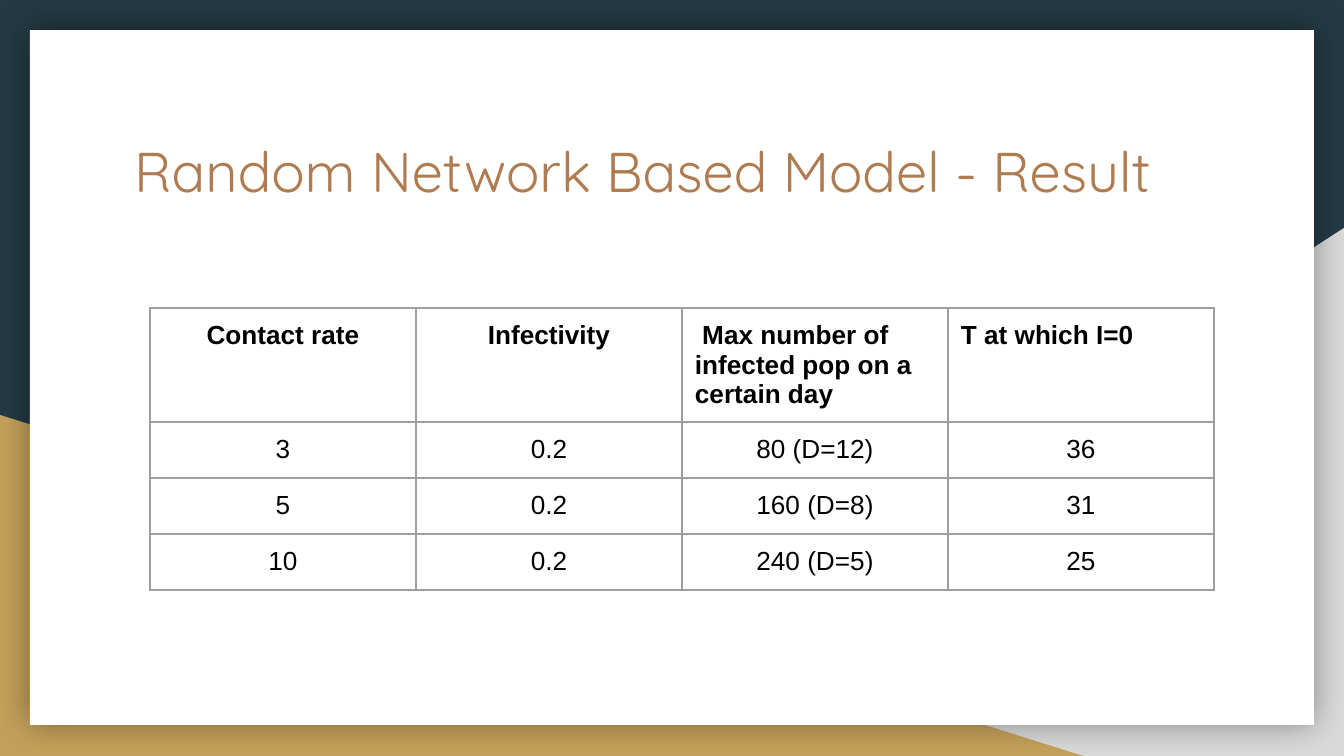
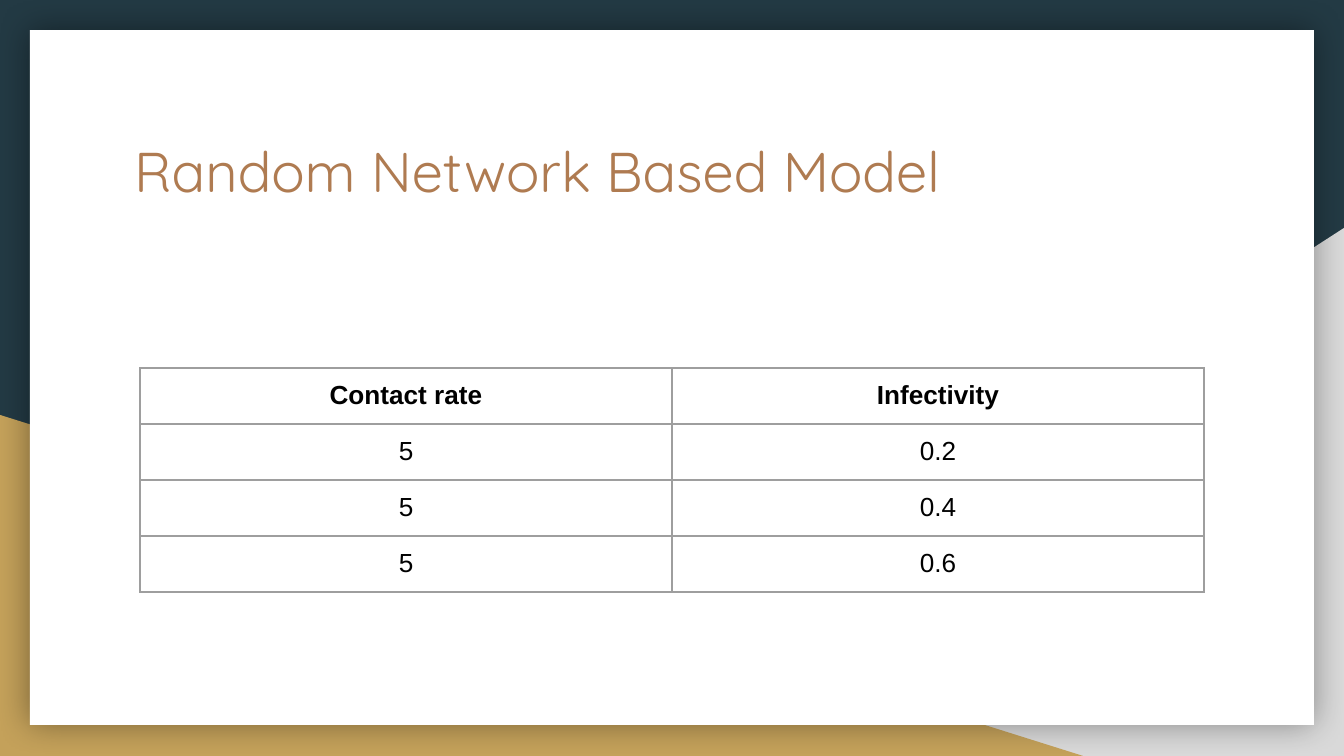
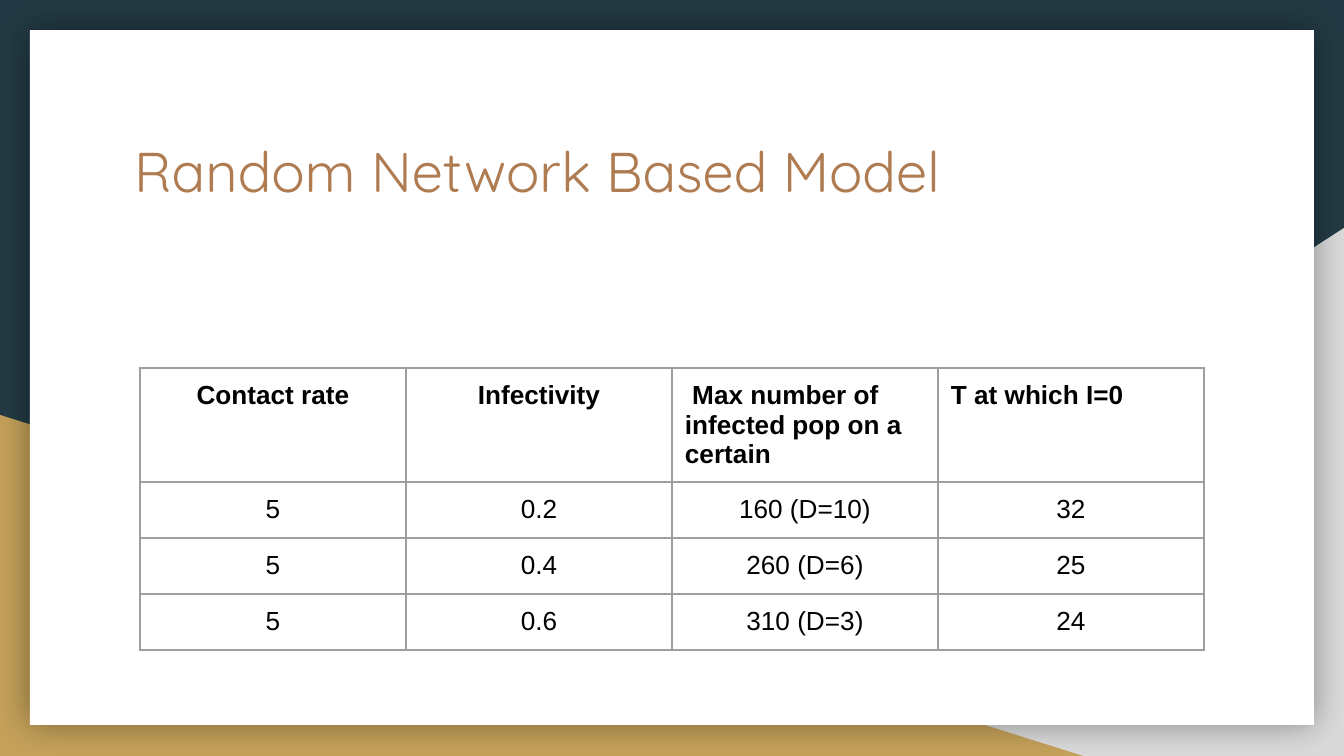
from dataclasses import dataclass

from lxml import etree
from pptx import Presentation
from pptx.dml.color import RGBColor
from pptx.enum.shapes import MSO_SHAPE
from pptx.enum.text import MSO_ANCHOR, MSO_AUTO_SIZE, PP_ALIGN
from pptx.oxml import parse_xml
from pptx.oxml.ns import nsdecls, qn
from pptx.util import Pt

WEDGE = MSO_SHAPE.RIGHT_TRIANGLE
RECT = MSO_SHAPE.RECTANGLE
TOP = MSO_ANCHOR.TOP
NO_FIT = MSO_AUTO_SIZE.NONE
LEFT = PP_ALIGN.LEFT
CENTER = PP_ALIGN.CENTER
SCALE = 914400 / 134.4
TITLE_ONLY = 5


@dataclass(frozen=True)
class Theme:
    back: str = "233A44"
    gray: str = "D9D9D9"
    gold: str = "C4A15A"
    card: str = "FFFFFF"
    head: str = "AF7B51"
    ink: str = "000000"
    rule: str = "9E9E9E"
    head_font: str = "Quicksand"
    font: str = "Arial"
    head_size: int = 30
    size: int = 14
    line: float = 0.75


THEME = Theme()
WIDE, HIGH = 1344, 756
PAD = 13
SPAN = 1064
ROW = 56


def px(num):
    return round(num * SCALE)


def rgb(code):
    return RGBColor.from_string(code)


def style(para, font, size, color, align, bold=False):
    para.alignment = align
    para.font.name = font
    para.font.size = Pt(size)
    para.font.bold = bold
    para.font.color.rgb = rgb(color)


def add_block(slide, kind, box, color):
    block = slide.shapes.add_shape(kind, *map(px, box))
    block.fill.solid()
    block.fill.fore_color.rgb = rgb(color)
    block.line.fill.background()
    block.shadow.inherit = False
    return block


def add_glow(block):
    glow = parse_xml(
        f'<a:outerShdw {nsdecls("a")} blurRad="{Pt(18)}" dist="0" dir="0" '
        f'algn="ctr" rotWithShape="0"><a:srgbClr val="{THEME.ink}">'
        '<a:alpha val="40000"/></a:srgbClr></a:outerShdw>')
    block.element.spPr.find(qn("a:effectLst")).append(glow)


def set_layout(layout, slide):
    layout.background.fill.solid()
    layout.background.fill.fore_color.rgb = rgb(THEME.back)
    tree = layout.shapes.element
    for spare in list(layout.placeholders)[1:]:
        tree.remove(spare.element)
    gray = add_block(slide, WEDGE, (527, 228, 817, 528), THEME.gray)
    gray.element.spPr.find(qn("a:xfrm")).set("flipH", "1")
    gold = add_block(slide, WEDGE, (0, 415, 1083, 341), THEME.gold)
    card = add_block(slide, RECT, (30, 30, 1284, 695), THEME.card)
    add_glow(card)
    for block in (gray, gold, card):
        tree.append(block.element)


def set_title(slide, text):
    title = slide.shapes.title
    title.left, title.top, title.width, title.height = map(
        px, (121, 124, 1103, 140))
    frame = title.text_frame
    frame.text = text
    frame.word_wrap = True
    frame.auto_size = NO_FIT
    frame.vertical_anchor = TOP
    frame.margin_left = frame.margin_right = px(PAD)
    frame.margin_top = frame.margin_bottom = px(PAD)
    style(frame.paragraphs[0], THEME.head_font, THEME.head_size,
          THEME.head, LEFT)


def add_rules(cell):
    props = cell._tc.get_or_add_tcPr()
    for side in ("lnL", "lnR", "lnT", "lnB"):
        line = etree.SubElement(props, qn(f"a:{side}"),
                                w=str(Pt(THEME.line)))
        fill = etree.SubElement(line, qn("a:solidFill"))
        etree.SubElement(fill, qn("a:srgbClr"), val=THEME.rule)


def fill_cell(cell, text, align, bold):
    cell.text = text
    cell.margin_left = cell.margin_right = px(PAD)
    cell.margin_top = cell.margin_bottom = px(PAD)
    add_rules(cell)
    cell.fill.background()
    style(cell.text_frame.paragraphs[0], THEME.font, THEME.size,
          THEME.ink, align, bold)


def add_grid(slide, left, top, rows):
    count = len(rows[0])
    frame = slide.shapes.add_table(
        len(rows), count, px(left), px(top), px(SPAN), px(ROW * len(rows)))
    grid = frame.table
    grid.first_row = grid.horz_banding = False
    for col in grid.columns:
        col.width = px(SPAN / count)
    for r, row in enumerate(rows):
        grid.rows[r].height = px(ROW)
        for c, text in enumerate(row):
            align = LEFT if r == 0 and c > 1 else CENTER
            fill_cell(grid.cell(r, c), text, align, r == 0)


INPUTS = ("Contact rate", "Infectivity")
PEAK = " Max number of infected pop on a certain"
END = "T at which I=0"
MODEL = "Random Network Based Model"

PAGES = (
    (f"{MODEL} - Result", 150, 308, (
        (*INPUTS, f"{PEAK} day", END),
        ("3", "0.2", "80 (D=12)", "36"),
        ("5", "0.2", "160 (D=8)", "31"),
        ("10", "0.2", "240 (D=5)", "25"))),
    (MODEL, 140, 368, (
        INPUTS,
        ("5", "0.2"),
        ("5", "0.4"),
        ("5", "0.6"))),
    (MODEL, 140, 368, (
        (*INPUTS, PEAK, END),
        ("5", "0.2", "160 (D=10)", "32"),
        ("5", "0.4", "260 (D=6)", "25"),
        ("5", "0.6", "310 (D=3)", "24"))),
)


def main():
    deck = Presentation()
    deck.slide_width, deck.slide_height = px(WIDE), px(HIGH)
    layout = deck.slide_layouts[TITLE_ONLY]
    slides = [deck.slides.add_slide(layout) for _ in PAGES]
    set_layout(layout, slides[0])
    for slide, (title, left, top, rows) in zip(slides, PAGES):
        set_title(slide, title)
        add_grid(slide, left, top, rows)
    deck.save("out.pptx")


if __name__ == "__main__":
    main()
